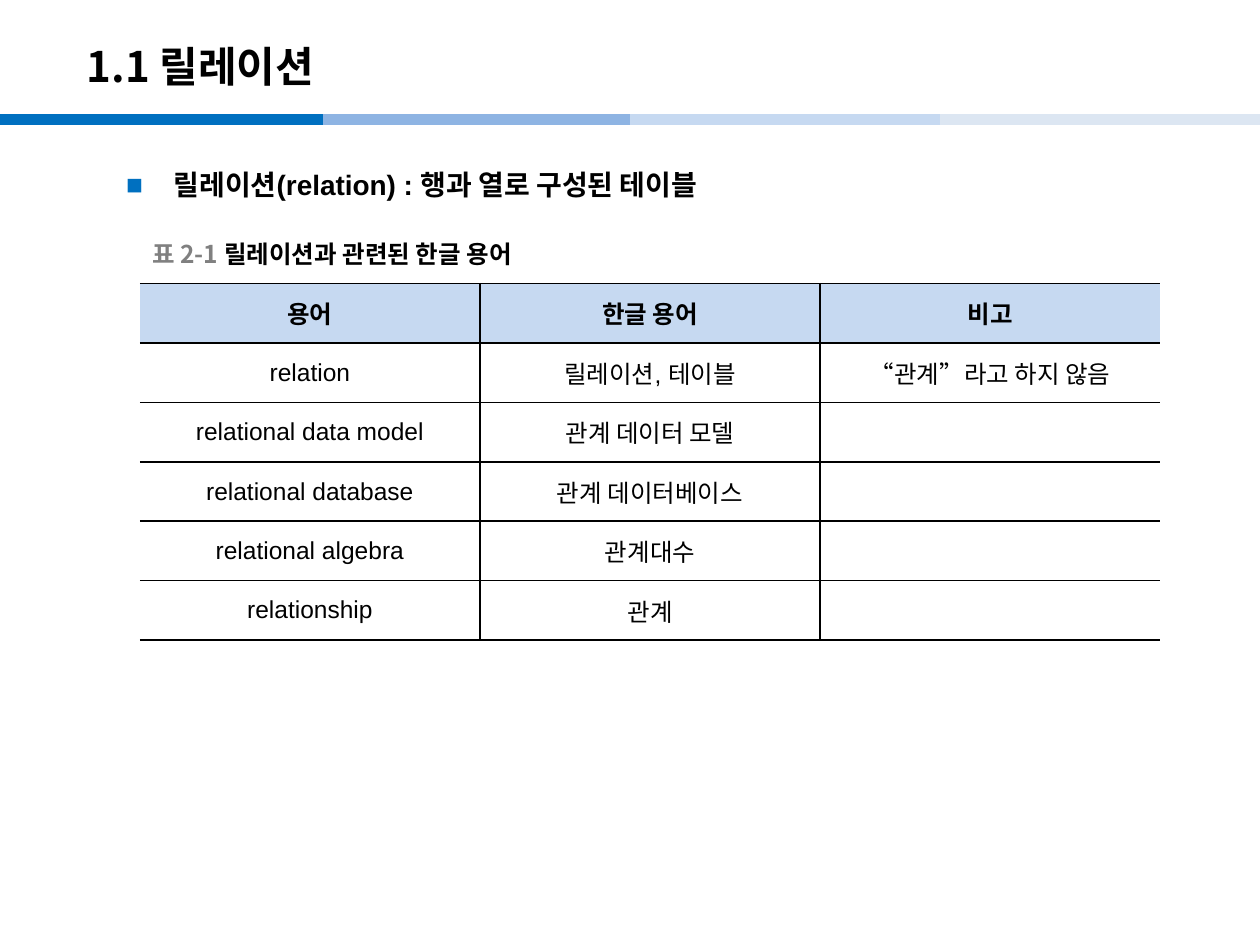
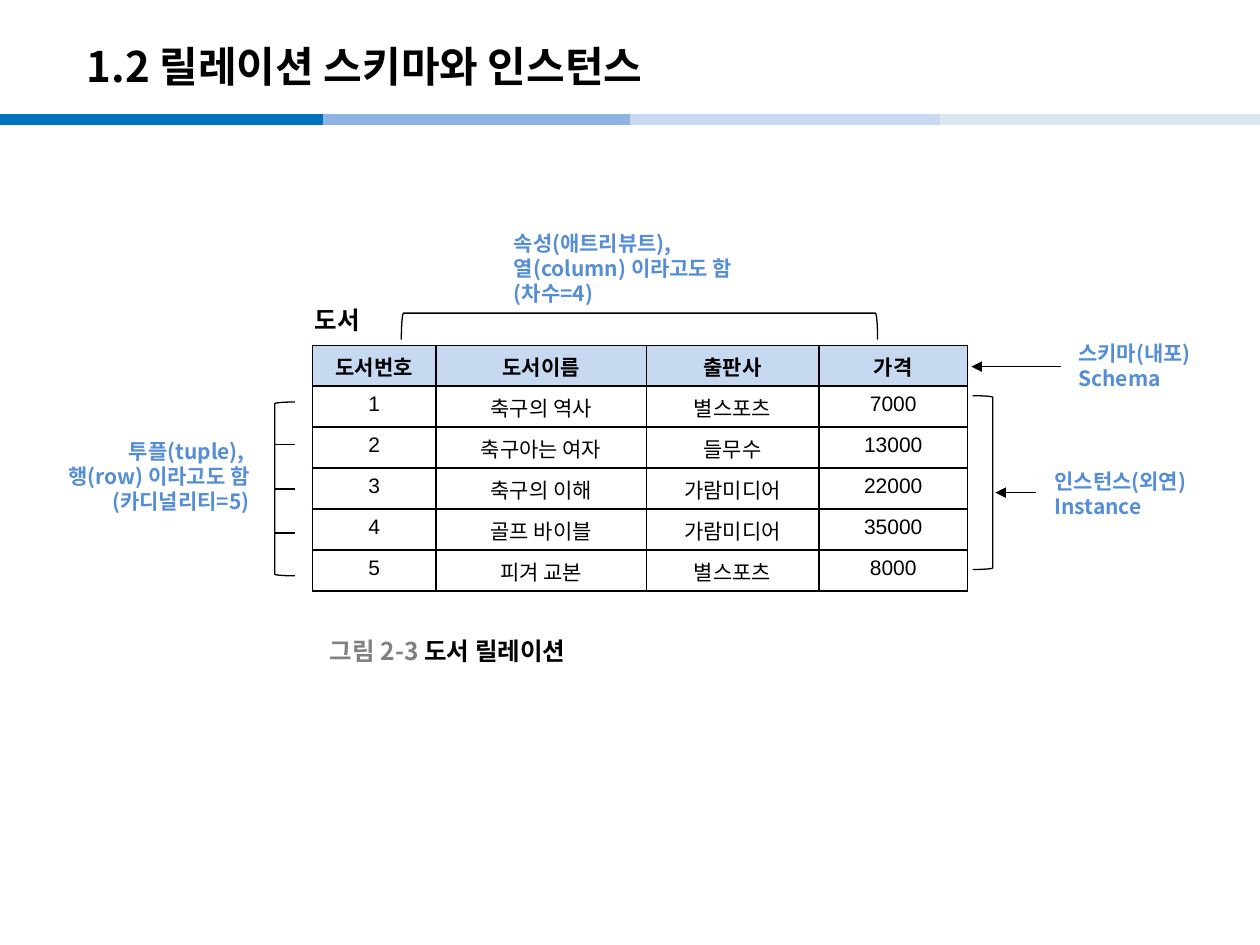
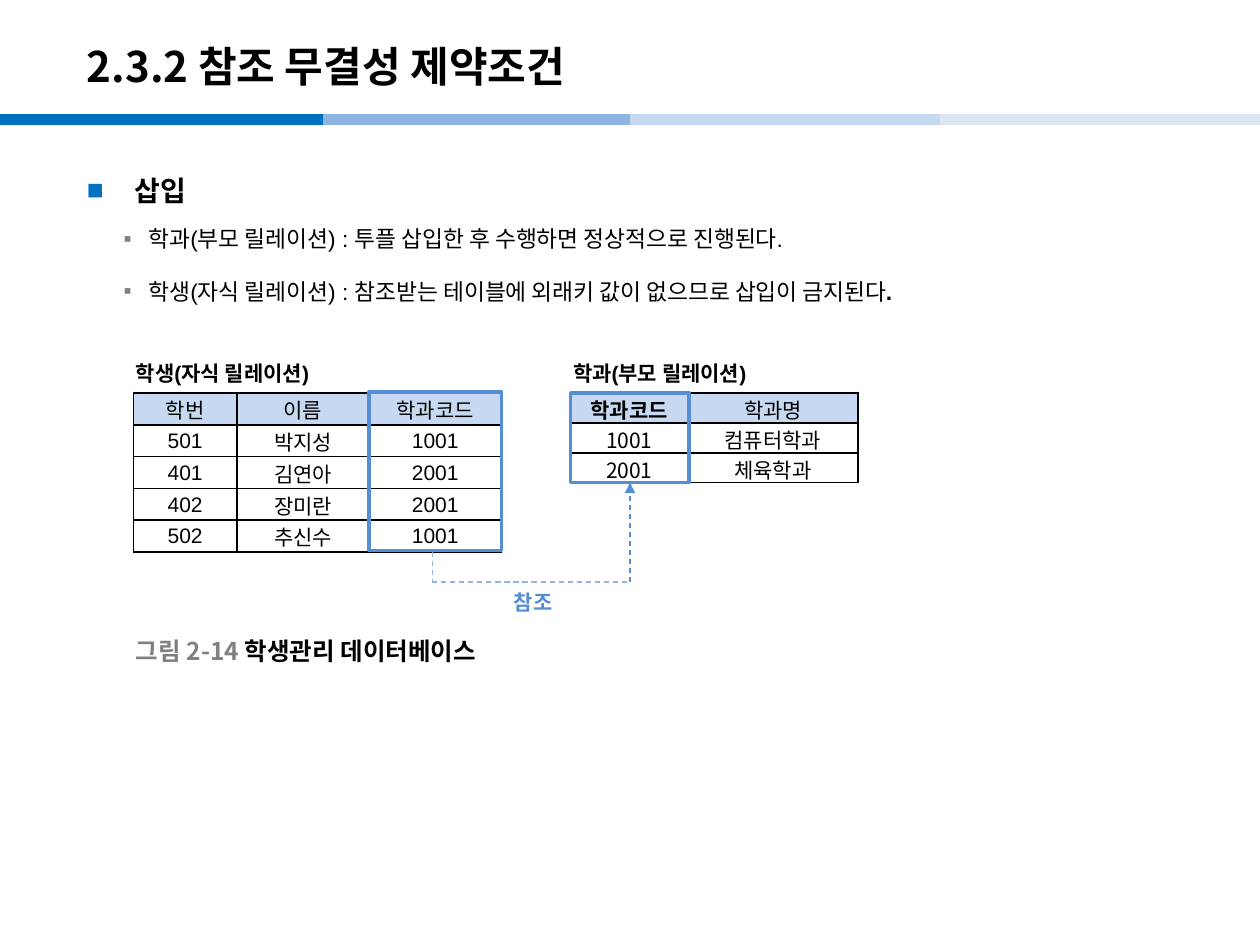
from dataclasses import dataclass
from lxml.etree import SubElement
from pptx import Presentation
from pptx.dml.color import RGBColor
from pptx.enum.dml import MSO_LINE
from pptx.enum.shapes import MSO_CONNECTOR, MSO_SHAPE
from pptx.enum.text import MSO_ANCHOR, MSO_AUTO_SIZE, PP_ALIGN
from pptx.oxml.ns import qn
from pptx.util import Inches, Pt


@dataclass(frozen=True)
class Theme:
    ink: str = "000000"
    gray: str = "808080"
    white: str = "FFFFFF"
    blue: str = "0070C0"
    note: str = "558ED5"
    soft: str = "8EB4E3"
    pale: str = "C6D9F1"
    mist: str = "DCE6F2"
    sans: str = "Arial"
    hangul: str = "Noto Sans CJK KR"
    title: int = 24
    lead: int = 16
    label: int = 14
    item: int = 13
    small: int = 12
    thin: float = 0.75
    edge: float = 1
    frame: float = 2
    band: float = 6


THEME = Theme()


def color(code):
    return RGBColor.from_string(code)


def place(shape, left, top, width, height):
    shape.left, shape.top = Inches(left), Inches(top)
    shape.width, shape.height = Inches(width), Inches(height)


def write(para, text, size, bold=False, tint=THEME.ink, face=THEME.hangul):
    run = para.add_run()
    run.text = text
    font = run.font
    font.size, font.bold, font.name = Pt(size), bold, face
    font.color.rgb = color(tint)
    SubElement(font._element, qn("a:ea"), typeface=THEME.hangul)


def line(slide, start, end, tint=THEME.ink, width=THEME.thin, tip=None, dash=False):
    points = [Inches(n) for n in (*start, *end)]
    item = slide.shapes.add_connector(MSO_CONNECTOR.STRAIGHT, *points)
    item.line.color.rgb = color(tint)
    item.line.width = Pt(width)
    if dash:
        item.line.dash_style = MSO_LINE.DASH
    if tip:
        SubElement(item.line._ln, qn("a:" + tip), type="triangle")
    SubElement(item.element.spPr, qn("a:effectLst"))
    return item


def outline(slide, kind, box, tint=THEME.ink, width=THEME.thin, turn=0):
    item = slide.shapes.add_shape(kind, *[Inches(n) for n in box])
    item.shadow.inherit = False
    item.fill.background()
    item.line.color.rgb = color(tint)
    item.line.width = Pt(width)
    item.rotation = turn


def bands(deck, slide):
    tints = THEME.blue, THEME.soft, THEME.pale, THEME.mist
    for num, (left, tint) in enumerate(zip((0, 2.56, 5, 7.46), tints)):
        item = line(slide, (left, 0.95), (left + 2.56, 0.95), tint, THEME.band)
        item.element.nvCxnSpPr.cNvPr.set("id", str(100 + num))
        deck.slide_master.shapes.element.append(item.element)


def page(deck, layout, text):
    slide = deck.slides.add_slide(deck.slide_layouts[layout])
    shape = slide.shapes.title
    place(shape, 0.59, 0.22, 8.27, 0.6)
    frame = shape.text_frame
    frame.auto_size = MSO_AUTO_SIZE.NONE
    frame.vertical_anchor = MSO_ANCHOR.MIDDLE
    para = frame.paragraphs[0]
    para.alignment = PP_ALIGN.LEFT
    write(para, text, THEME.title, True)
    return slide


def points(slide, left, top, items):
    shape = slide.placeholders[1]
    place(shape, left, top, 8.82, 5.98)
    frame = shape.text_frame
    frame.auto_size = MSO_AUTO_SIZE.NONE
    frame.vertical_anchor = MSO_ANCHOR.TOP
    for num, (level, runs) in enumerate(items):
        para = frame.add_paragraph() if num else frame.paragraphs[0]
        para.level = level
        para.line_spacing = 1.5
        para.space_before = Pt(2.6 if level else 0)
        para.space_after = Pt(4 if level else 0)
        inset, hang, mark, tint = (
            (0.49, -0.2, "▪", THEME.gray) if level else (0.38, -0.38, "■", THEME.blue)
        )
        props = para._p.get_or_add_pPr()
        props.set("marL", str(Inches(inset)))
        props.set("indent", str(Inches(hang)))
        paint = SubElement(props, qn("a:buClr"))
        SubElement(paint, qn("a:srgbClr"), val=tint)
        SubElement(props, qn("a:buFont"), typeface=THEME.sans)
        SubElement(props, qn("a:buChar"), char=mark)
        for text, bold in runs:
            size = THEME.item if level else THEME.lead
            write(para, text, size, bold, face=THEME.sans)


def border(cell, open_sides):
    props = cell._tc.get_or_add_tcPr()
    for num, side in enumerate(("lnL", "lnR", "lnT", "lnB")):
        edge = SubElement(props, qn("a:" + side), w=str(Pt(THEME.edge)))
        if side in open_sides:
            SubElement(edge, qn("a:noFill"))
        else:
            paint = SubElement(edge, qn("a:solidFill"))
            SubElement(paint, qn("a:srgbClr"), val=THEME.ink)
        props.remove(edge)
        props.insert(num, edge)


def grid(slide, left, top, height, widths, rows, size, strong, faces,
         middle=True, tight=False, ends=True):
    box = [Inches(n) for n in (left, top, sum(widths), height)]
    table = slide.shapes.add_table(len(rows), len(widths), *box).table
    table.first_row = table.horz_banding = False
    for col, width in zip(table.columns, widths):
        col.width = Inches(width)
    last = len(widths) - 1
    for r, texts in enumerate(rows):
        table.rows[r].height = Inches(height / len(rows))
        for c, text in enumerate(texts):
            cell = table.cell(r, c)
            cell.fill.solid()
            cell.fill.fore_color.rgb = color(THEME.white if r else THEME.pale)
            cell.vertical_anchor = MSO_ANCHOR.MIDDLE if middle else MSO_ANCHOR.TOP
            if tight:
                cell.margin_left = cell.margin_right = cell.margin_top = Inches(0.01)
                cell.margin_bottom = 0
            shut = [] if ends else [
                side for side, edge in (("lnL", 0), ("lnR", last)) if c == edge
            ]
            border(cell, shut)
            para = cell.text_frame.paragraphs[0]
            para.alignment = PP_ALIGN.CENTER
            if text:
                write(para, text, size, r == 0 and c in strong, face=faces[r > 0])


def words(slide, box, lines, wrap=True, align=PP_ALIGN.LEFT, middle=False):
    shape = slide.shapes.add_textbox(*[Inches(n) for n in box])
    frame = shape.text_frame
    frame.word_wrap = wrap
    frame.auto_size = MSO_AUTO_SIZE.NONE if middle else MSO_AUTO_SIZE.SHAPE_TO_FIT_TEXT
    frame.vertical_anchor = MSO_ANCHOR.MIDDLE if middle else MSO_ANCHOR.TOP
    for num, runs in enumerate(lines):
        para = frame.add_paragraph() if num else frame.paragraphs[0]
        para.alignment = align
        for run in runs:
            write(para, *run)


def label(slide, left, top, text, mark=None):
    runs = [(mark, THEME.label, True, THEME.gray)] if mark else []
    runs.append((text, THEME.label, True))
    words(slide, (left, top, 2.05, 0.31), [runs], wrap=False, middle=True)


def note(slide, box, texts, align=PP_ALIGN.LEFT):
    lines = [[(text, THEME.small, True, THEME.note)] for text in texts]
    words(slide, box, lines, align=align)


def terms(slide, left, top):
    rows = [
        ("용어", "한글 용어", "비고"),
        ("relation", "릴레이션, 테이블", "“관계”라고 하지 않음"),
        ("relational data model", "관계 데이터 모델", ""),
        ("relational database", "관계 데이터베이스", ""),
        ("relational algebra", "관계대수", ""),
        ("relationship", "관계", ""),
    ]
    grid(slide, left, top, 2.83, [2.7] * 3, rows, THEME.label, range(3),
         (THEME.hangul, THEME.sans), ends=False)
    label(slide, left, top - 0.39, "릴레이션과 관련된 한글 용어", "표 2-1 ")


def books(slide, left, top):
    note(slide, (left + 1.5, top - 0.96, 2.36, 0.71),
         ("속성(애트리뷰트), ", "열(column) 이라고도 함", "(차수=4)"))
    outline(slide, MSO_SHAPE.LEFT_BRACKET,
            (left + 2.49, top - 2.04, 0.21, 3.78), turn=90)
    note(slide, (left - 2.47, top + 0.69, 2.07, 0.71),
         ("투플(tuple), ", "행(row) 이라고도 함", "(카디널리티=5)"), PP_ALIGN.RIGHT)
    outline(slide, MSO_SHAPE.RIGHT_BRACKET, (left + 5.24, top + 0.4, 0.16, 1.38))
    outline(slide, MSO_SHAPE.RIGHT_BRACKET,
            (left - 0.3, top + 0.45, 0.16, 1.38), turn=180)
    for num in range(3):
        tick = top + 0.79 + num * 0.35
        line(slide, (left - 0.3, tick), (left - 0.14, tick))
    rows = [
        ("도서번호", "도서이름", "출판사", "가격"),
        ("1", "축구의 역사", "별스포츠", "7000"),
        ("2", "축구아는 여자", "들무수", "13000"),
        ("3", "축구의 이해", "가람미디어", "22000"),
        ("4", "골프 바이블", "가람미디어", "35000"),
        ("5", "피겨 교본", "별스포츠", "8000"),
    ]
    grid(slide, left, top, 1.95, (0.98, 1.67, 1.37, 1.18), rows, THEME.small,
         range(4), (THEME.sans, THEME.sans), middle=False)
    sides = [
        (5.23, 5.94, 0.17, 5.98, -0.09, ("스키마(내포)", "Schema")),
        (5.42, 5.74, 1.17, 5.79, 0.93, ("인스턴스(외연)", "Instance")),
    ]
    for start, end, level, x, y, texts in sides:
        line(slide, (left + start, top + level), (left + end, top + level),
             tip="headEnd")
        note(slide, (left + x, top + y, 1.38, 0.5), texts)
    label(slide, left + 0.04, top + 2.27, "도서 릴레이션", "그림 2-3 ")
    label(slide, left - 0.08, top - 0.36, "도서")


def school(slide, left, top):
    right = left + 3.47
    pupils = [
        ("학번", "이름", "학과코드"),
        ("501", "박지성", "1001"),
        ("401", "김연아", "2001"),
        ("402", "장미란", "2001"),
        ("502", "추신수", "1001"),
    ]
    majors = [("학과코드", "학과명"), ("1001", "컴퓨터학과"), ("2001", "체육학과")]
    sets = [
        (left, 1.22, (0.82, 1.05, 1.05), pupils, (), THEME.sans, "학생(자식 릴레이션)"),
        (right, 0.71, (0.93, 1.35), majors, (0,), THEME.hangul, "학과(부모 릴레이션)"),
    ]
    for x, height, widths, rows, strong, face, name in sets:
        grid(slide, x, top, height, widths, rows, THEME.small, strong,
             (face, face), tight=True)
        words(slide, (x - 0.08, top - 0.31, 1.73, 0.3),
              [[(name, THEME.small, True, THEME.ink, THEME.sans)]], wrap=False)
    start, turn = (left + 2.37, top + 1.26), (left + 2.37, top + 1.5)
    bend, end = (left + 3.94, top + 1.5), (left + 3.94, top + 0.71)
    line(slide, start, turn, THEME.soft, dash=True)
    line(slide, turn, bend, THEME.soft, dash=True)
    line(slide, bend, end, THEME.note, tip="tailEnd", dash=True)
    note(slide, (left + 2.92, top + 1.51, 1.38, 0.3), ("참조",))
    label(slide, left - 0.08, top + 1.89, "학생관리 데이터베이스", "그림 2-14 ")
    for box in ((left + 1.87, top - 0.01, 1.05, 1.26), (right, top, 0.94, 0.71)):
        outline(slide, MSO_SHAPE.RECTANGLE, box, THEME.note, THEME.frame)


deck = Presentation()
deck.slide_width, deck.slide_height = Inches(10), Inches(7.5)

first = page(deck, 1, "1.1 릴레이션")
bands(deck, first)
points(first, 0.9, 1.15, [(0, [("릴레이션(relation) : 행과 열로 구성된 테이블", True)])])
terms(first, 1.11, 2.25)

second = page(deck, 5, "1.2 릴레이션 스키마와 인스턴스")
books(second, 2.48, 2.74)

third = page(deck, 1, "2.3.2 참조 무결성 제약조건")
points(third, 0.59, 1.19, [
    (0, [("삽입", True)]),
    (1, [("학과(부모 릴레이션) : 투플 삽입한 후 수행하면 정상적으로 진행된다.", False)]),
    (1, [("학생(자식 릴레이션) : 참조받는 테이블에 외래키 값이 없으므로 삽입이 금지된다", False),
         (". ", True)]),
])
school(third, 1.06, 3.12)

deck.save("out.pptx")
